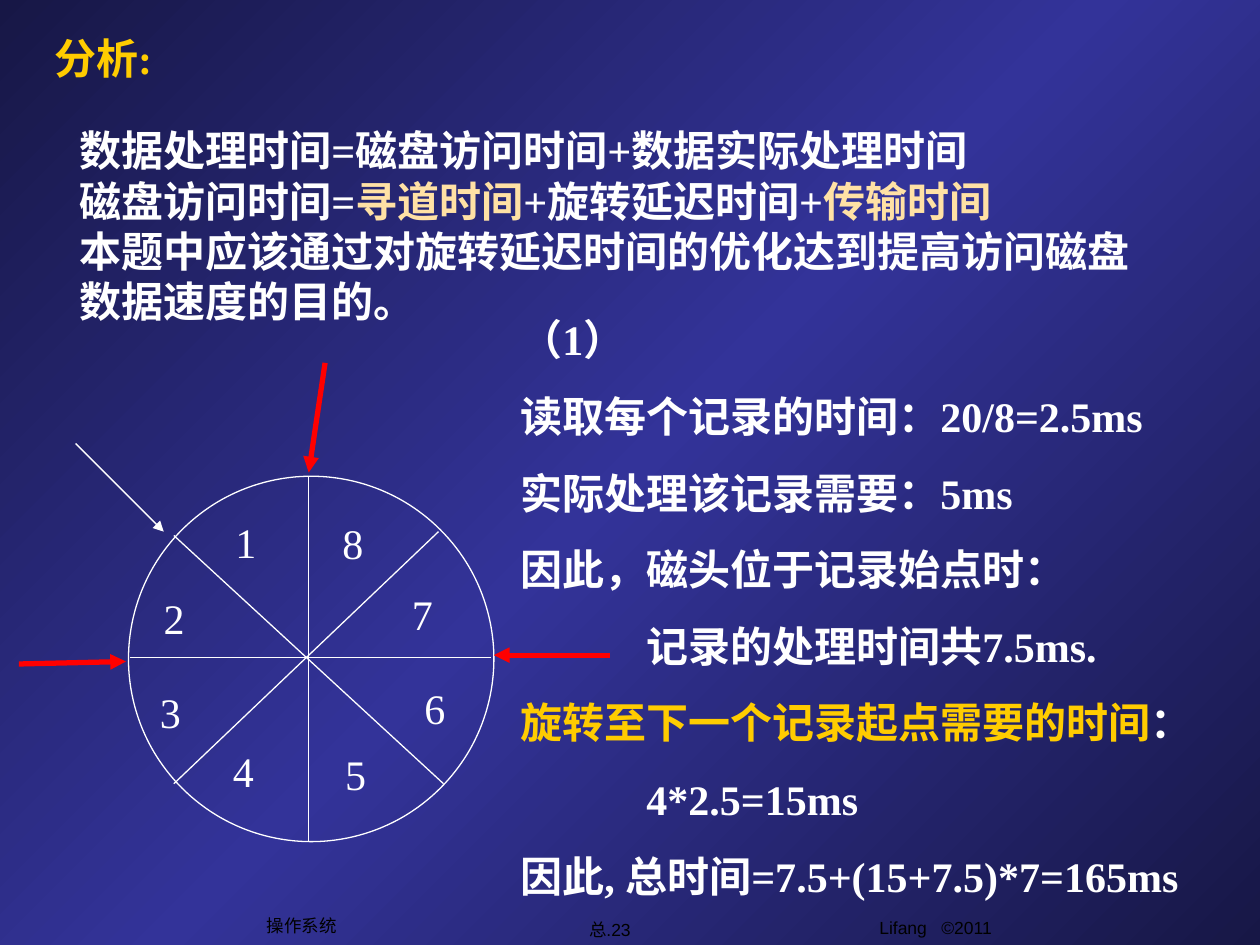
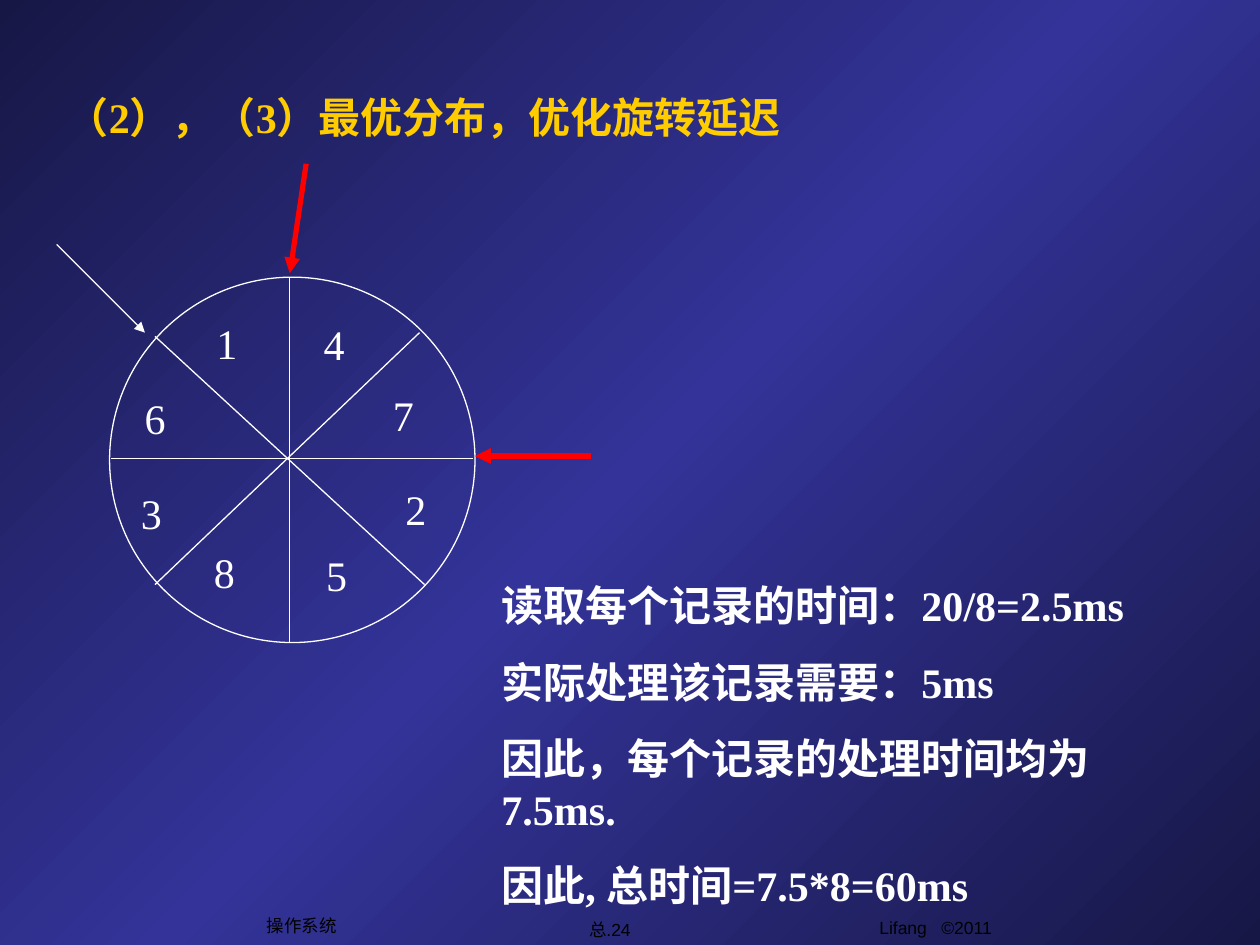
from copy import deepcopy
from dataclasses import dataclass

from lxml import etree
from pptx import Presentation
from pptx.dml.color import RGBColor
from pptx.enum import shapes, text
from pptx.oxml.ns import qn
from pptx.util import Inches, Pt


@dataclass(frozen=True)
class Theme:
    edge: str = "171746"
    middle: str = "333399"
    ink: str = "FFFFFF"
    accent: str = "FFCC00"
    soft: str = "FFE1A5"
    pointer: str = "FF0000"
    footer: str = "000000"
    font: str = "Times New Roman"
    footer_font: str = "Arial"
    size: int = 24
    footer_size: int = 10
    thin: float = 0.75
    thick: float = 3
    step_gap: int = 15


@dataclass(frozen=True)
class Line:
    runs: tuple
    indent: float = 0


THEME = Theme()
TWO_CONTENT, ONE_CONTENT = 3, 1
DIAL_SIZE = 2.9
SPOKES = [
    (1.43, 0, 1.43, 2.9),
    (0.01, 1.44, 2.88, 1.44),
    (0.36, 2.44, 2.46, 0.44),
    (0.36, 0.47, 2.5, 2.44),
]
SECTORS = [
    (0.75, 0.27), (0.18, 0.87), (0.15, 1.62), (0.73, 2.09),
    (1.62, 2.11), (2.25, 1.59), (2.15, 0.84), (1.6, 0.28),
]
ROTATION_ARROW = (-0.42, -0.26, 0.28, 0.44)
TOP_HEAD = (1.56, -0.9, 1.43, -0.03)
LEFT_HEAD = (-0.87, 1.49, -0.02, 1.47)
RIGHT_HEAD = (3.82, 1.42, 2.9, 1.42)
FOOTERS = [
    (2.02, 7.21, 0.75, "操作系统"),
    (4.32, 7.24, 1.04, "总.{number}"),
    (5.84, 7.23, 3.17, "Lifang   ©2011"),
]


def plain(words, color=None, indent=0):
    return Line(((words, color),), indent)


class Deck:
    def __init__(self, theme):
        self.theme = theme
        self.presentation = Presentation()
        self.presentation.slide_width = Inches(10)
        self.presentation.slide_height = Inches(7.5)
        self.slide = None
        self.paint_background()

    def paint_background(self):
        master = self.presentation.slide_master
        fill = master.background.fill
        fill.gradient()
        fill.gradient_angle = 135
        stop_list = next(master.element.iter(qn("a:gsLst")))
        stop_list.append(deepcopy(stop_list[0]))
        colors = (self.theme.edge, self.theme.middle, self.theme.edge)
        for index, (stop, color) in enumerate(zip(fill.gradient_stops, colors)):
            stop.position = index / 2
            stop.color.rgb = RGBColor.from_string(color)

    def add_slide(self, layout, number):
        layouts = self.presentation.slide_layouts
        self.slide = self.presentation.slides.add_slide(layouts[layout])
        for left, top, width, words in FOOTERS:
            self.footer((left, top, width, 0.27), words.format(number=number))

    def style(self, paragraph, color, size=None, font=None, bold=False):
        paragraph.font.name = font or self.theme.font
        paragraph.font.size = Pt(size or self.theme.size)
        paragraph.font.bold = bold
        paragraph.font.color.rgb = RGBColor.from_string(color)

    def place(self, shape, box):
        shape.left, shape.top, shape.width, shape.height = map(Inches, box)
        frame = shape.text_frame
        frame.auto_size = text.MSO_AUTO_SIZE.NONE
        frame.word_wrap = True
        return frame

    def footer(self, box, words):
        frame = self.place(self.slide.shapes.add_textbox(0, 0, 0, 0), box)
        frame.word_wrap = False
        frame.vertical_anchor = text.MSO_ANCHOR.MIDDLE
        paragraph = frame.paragraphs[0]
        paragraph.text = words
        paragraph.alignment = text.PP_ALIGN.CENTER
        self.style(paragraph, self.theme.footer, self.theme.footer_size, self.theme.footer_font)

    def title(self, box, words):
        frame = self.place(self.slide.shapes.title, box)
        frame.vertical_anchor = text.MSO_ANCHOR.MIDDLE
        paragraph = frame.paragraphs[0]
        paragraph.text = words
        paragraph.alignment = text.PP_ALIGN.LEFT
        self.style(paragraph, self.theme.accent, bold=True)

    def body(self, index, box, lines, gap=0):
        frame = self.place(self.slide.placeholders[index], box)
        frame.vertical_anchor = text.MSO_ANCHOR.TOP
        for position, line in enumerate(lines):
            paragraph = frame.add_paragraph() if position else frame.paragraphs[0]
            paragraph.space_before = Pt(gap if position else 0)
            properties = paragraph._p.get_or_add_pPr()
            properties.set("marL", str(Inches(line.indent)))
            properties.set("indent", "0")
            etree.SubElement(properties, qn("a:buNone"))
            self.style(paragraph, self.theme.ink, bold=True)
            for words, color in line.runs:
                run = paragraph.add_run()
                run.text = words
                if color:
                    run.font.color.rgb = RGBColor.from_string(color)

    def line(self, origin, ends, color=None, width=None, arrow=False, parent=None):
        left, top = origin
        x1, y1, x2, y2 = ends
        connector = (parent or self.slide).shapes.add_connector(
            shapes.MSO_CONNECTOR.STRAIGHT,
            Inches(left + x1), Inches(top + y1), Inches(left + x2), Inches(top + y2))
        connector.line.color.rgb = RGBColor.from_string(color or self.theme.ink)
        connector.line.width = Pt(width or self.theme.thin)
        if arrow:
            etree.SubElement(connector.line._get_or_add_ln(), qn("a:tailEnd"), type="triangle")
        etree.SubElement(connector._element.spPr, qn("a:effectLst"))

    def dial(self, origin, records, heads):
        left, top = origin
        group = self.slide.shapes.add_group_shape()
        disk = group.shapes.add_shape(
            shapes.MSO_SHAPE.OVAL, Inches(left), Inches(top), Inches(DIAL_SIZE), Inches(DIAL_SIZE))
        disk.shadow.inherit = False
        disk.fill.background()
        disk.line.color.rgb = RGBColor.from_string(self.theme.ink)
        disk.line.width = Pt(self.theme.thin)
        for spoke in SPOKES:
            self.line(origin, spoke, parent=group)
        for record, (dx, dy) in zip(records, SECTORS):
            label = group.shapes.add_textbox(0, 0, 0, 0)
            frame = self.place(label, (left + dx, top + dy, 0.67, 0.5))
            frame.text = record
            self.style(frame.paragraphs[0], self.theme.ink)
        self.line(origin, ROTATION_ARROW, arrow=True)
        for head in heads:
            self.line(origin, head, self.theme.pointer, self.theme.thick, arrow=True)


def build_analysis(deck):
    theme = deck.theme
    deck.add_slide(TWO_CONTENT, 23)
    deck.title((0.33, 0.21, 8.54, 0.5), "分析:")
    deck.body(1, (0.53, 0.94, 8.86, 1.75), [
        plain("数据处理时间=磁盘访问时间+数据实际处理时间"),
        Line((("磁盘访问时间=", None), ("寻道时间", theme.soft),
              ("+旋转延迟时间+", None), ("传输时间", theme.soft))),
        plain("本题中应该通过对旋转延迟时间的优化达到提高访问磁盘数据速度的目的。"),
    ])
    deck.dial((1.02, 3.78), "12345678", [TOP_HEAD, LEFT_HEAD, RIGHT_HEAD])
    deck.body(2, (4.03, 2.44, 5.73, 4.76), [
        plain("（1）"),
        plain("读取每个记录的时间：20/8=2.5ms"),
        plain("实际处理该记录需要：5ms"),
        plain("因此，磁头位于记录始点时："),
        plain("记录的处理时间共7.5ms.", indent=1),
        Line((("旋转至下一个记录起点需要的时间", theme.accent), ("：", None))),
        plain("4*2.5=15ms", indent=1),
        plain("因此, 总时间=7.5+(15+7.5)*7=165ms"),
    ], theme.step_gap)


def build_optimum(deck):
    deck.add_slide(ONE_CONTENT, 24)
    deck.title((0.43, 0.68, 8.54, 0.5), "（2），（3）最优分布，优化旋转延迟")
    deck.dial((0.87, 2.2), "16385274", [TOP_HEAD, RIGHT_HEAD])
    deck.body(1, (3.88, 4.55, 5.73, 2.73), [
        plain("读取每个记录的时间：20/8=2.5ms"),
        plain("实际处理该记录需要：5ms"),
        plain("因此，每个记录的处理时间均为7.5ms."),
        plain("因此, 总时间=7.5*8=60ms"),
    ], deck.theme.step_gap)


def main():
    deck = Deck(THEME)
    build_analysis(deck)
    build_optimum(deck)
    deck.presentation.save("out.pptx")


if __name__ == "__main__":
    main()
